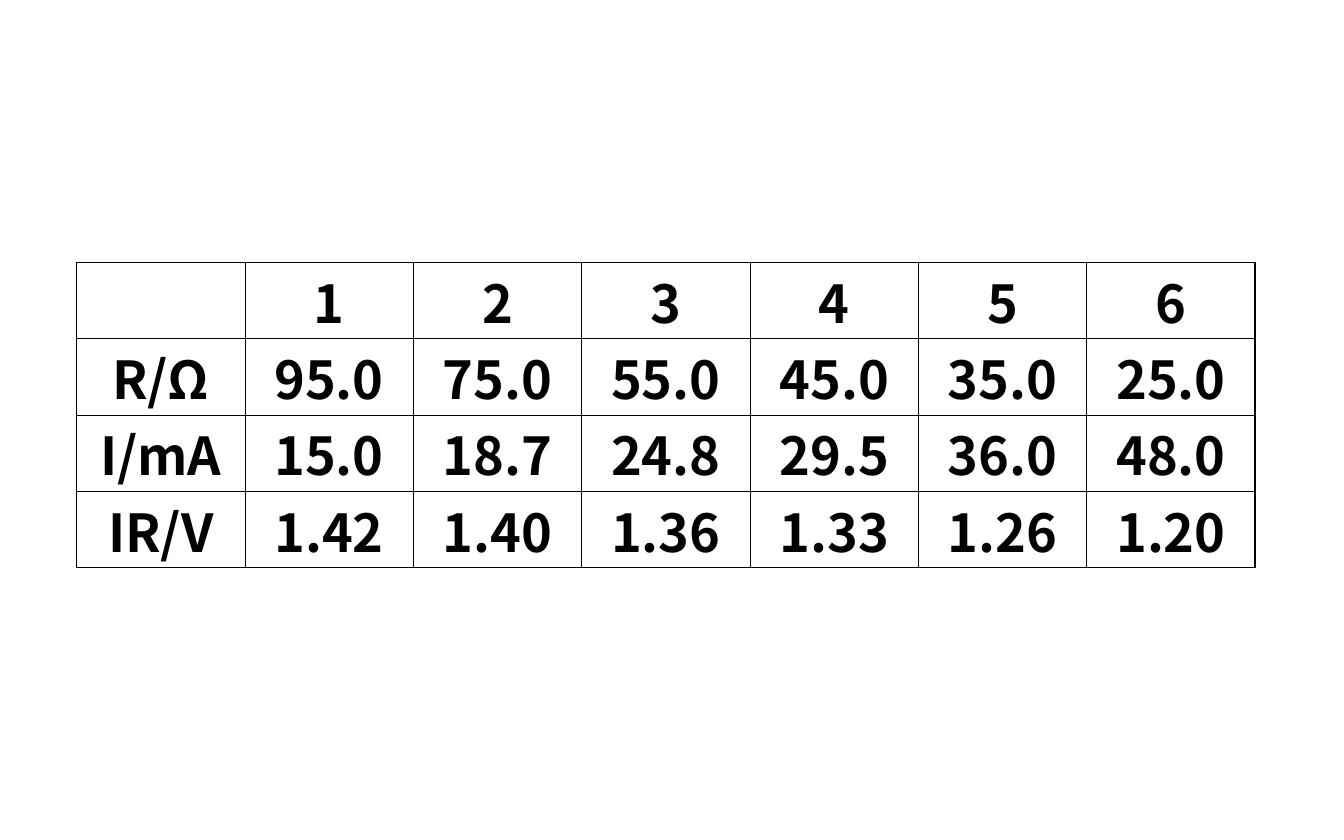
from pptx import Presentation
from pptx.dml.color import RGBColor
from pptx.enum.text import MSO_ANCHOR, PP_ALIGN
from pptx.oxml import parse_xml
from pptx.oxml.ns import nsdecls
from pptx.util import Pt

COLORS = {"text": "000000", "border": "000000"}
FONT = "Noto Sans CJK SC"
OUTER, INNER = 0.75, 0.45
COL_WIDTH, ROW_HEIGHT = 90.2, 40.9

READINGS = [
    ["", "1", "2", "3", "4", "5", "6"],
    ["R/Ω", "95.0", "75.0", "55.0", "45.0", "35.0", "25.0"],
    ["I/mA", "15.0", "18.7", "24.8", "29.5", "36.0", "48.0"],
    ["IR/V", "1.42", "1.40", "1.36", "1.33", "1.26", "1.20"],
]


def add_border(cell, side, width):
    """Draw one side (L, R, T or B) of a cell."""
    cell._tc.get_or_add_tcPr().append(parse_xml(
        f'<a:ln{side} {nsdecls("a")} w="{Pt(width)}"><a:solidFill>'
        f'<a:srgbClr val="{COLORS["border"]}"/></a:solidFill></a:ln{side}>'))


def write_cell(cell, text):
    cell.vertical_anchor = MSO_ANCHOR.MIDDLE
    # The line of text nearly fills the row, so it needs the full height.
    cell.margin_top = cell.margin_bottom = 0
    p = cell.text_frame.paragraphs[0]
    p.alignment = PP_ALIGN.CENTER
    p.font.name = FONT
    p.font.size = Pt(28)
    p.font.bold = True
    p.font.color.rgb = RGBColor.from_string(COLORS["text"])
    if text:
        p.add_run().text = text


def add_readings_table(s, rows, left, top):
    n_rows, n_cols = len(rows), len(rows[0])
    table = s.shapes.add_table(n_rows, n_cols, Pt(left), Pt(top),
                               Pt(COL_WIDTH * n_cols),
                               Pt(ROW_HEIGHT * n_rows)).table
    table.first_row = table.horz_banding = False
    for col in table.columns:
        col.width = Pt(COL_WIDTH)
    for r, values in enumerate(rows):
        table.rows[r].height = Pt(ROW_HEIGHT)
        for c, text in enumerate(values):
            cell = table.cell(r, c)
            write_cell(cell, text)
            on_edge = {"L": c == 0, "R": c == n_cols - 1,
                       "T": r == 0, "B": r == n_rows - 1}
            for side, outer in on_edge.items():
                add_border(cell, side, OUTER if outer else INNER)
            cell.fill.background()


def main():
    prs = Presentation()
    prs.slide_width, prs.slide_height = Pt(720), Pt(450)
    s = prs.slides.add_slide(prs.slide_layouts[6])
    add_readings_table(s, READINGS, left=41, top=140.5)
    prs.save("out.pptx")


if __name__ == "__main__":
    main()
